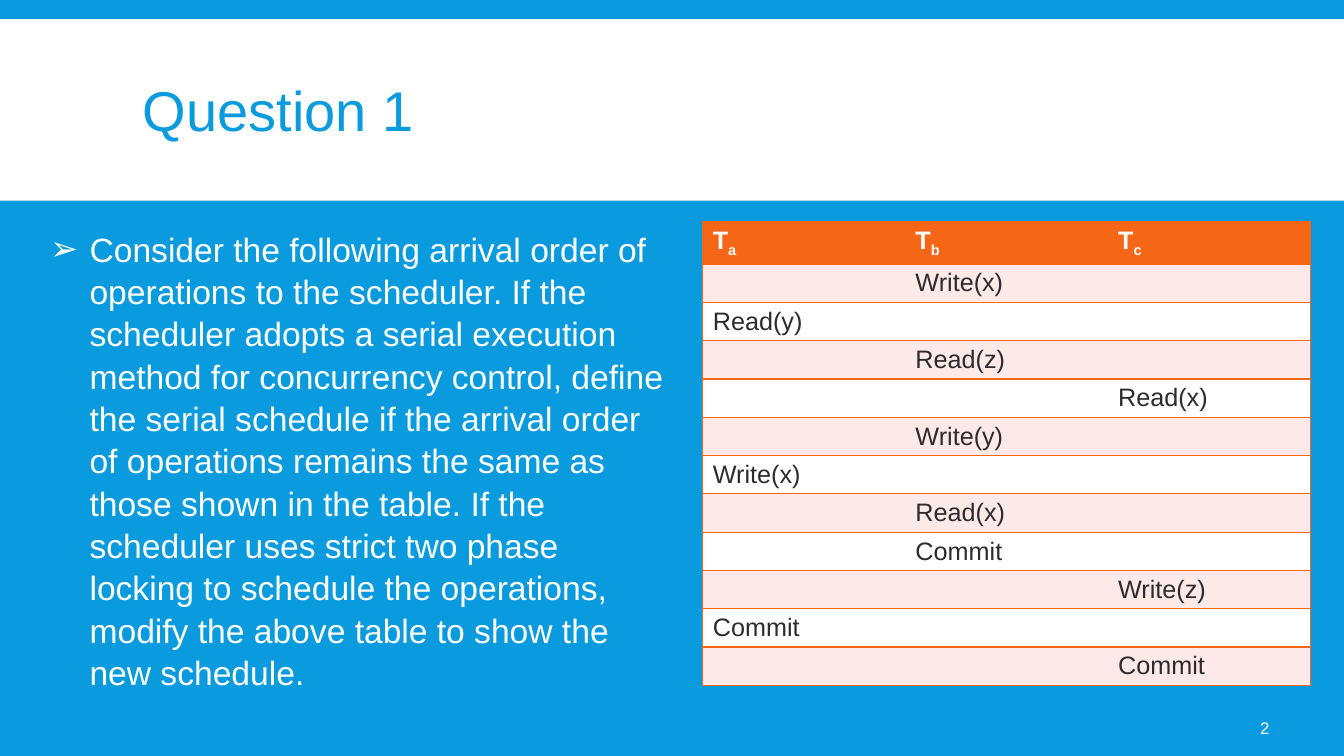
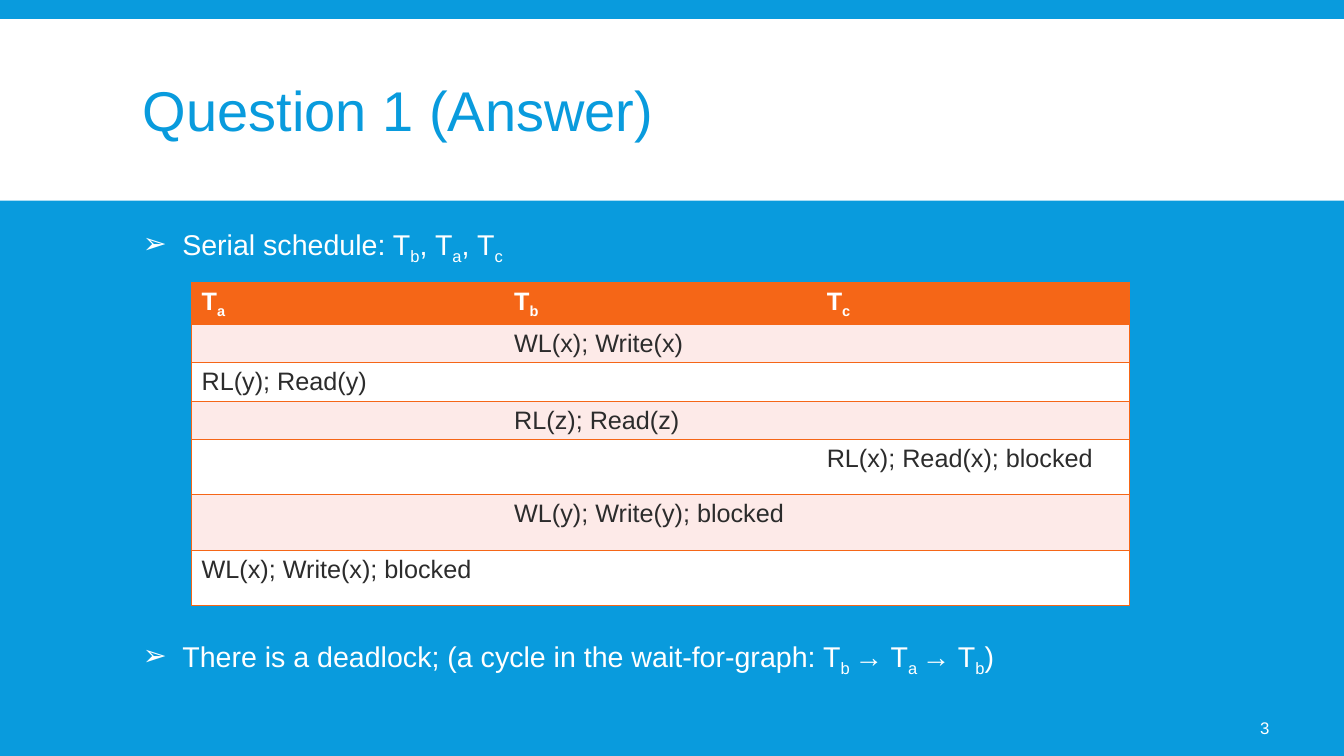
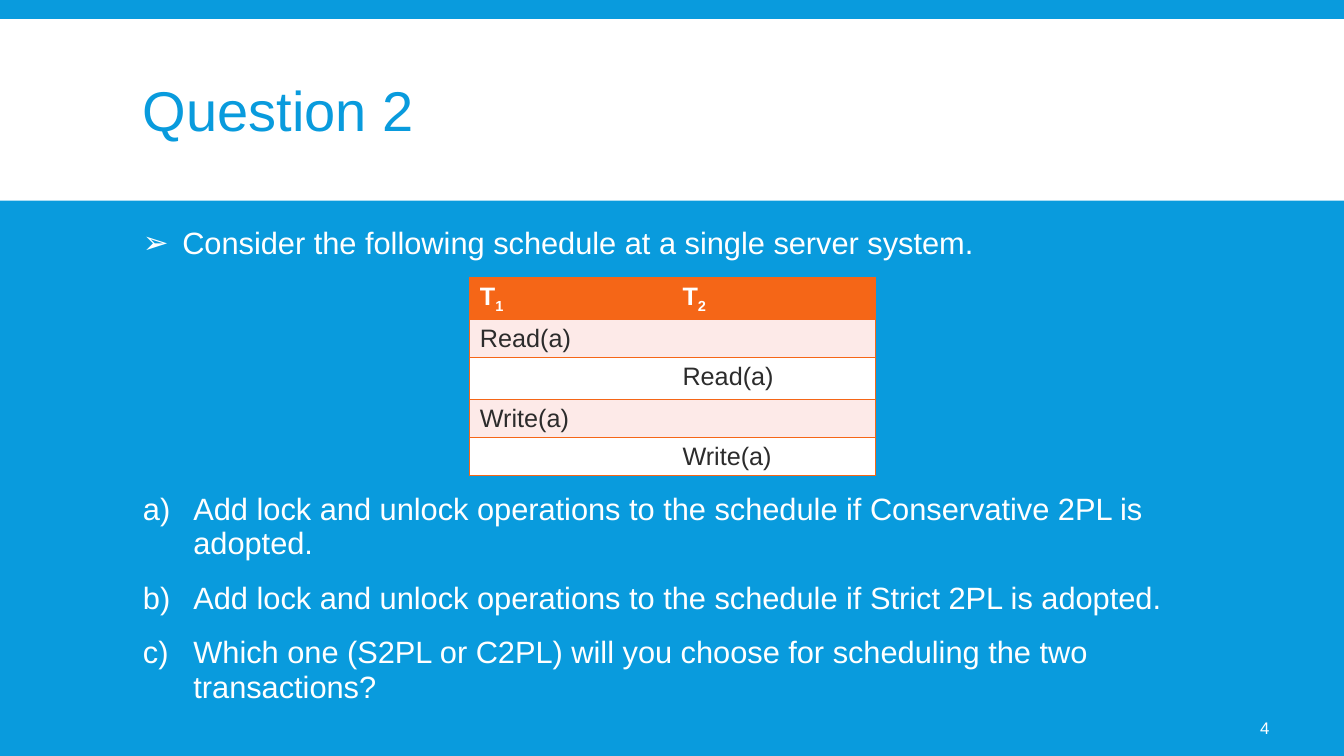
from pptx import Presentation
from pptx.dml.color import RGBColor
from pptx.enum.shapes import MSO_SHAPE
from pptx.enum.text import MSO_ANCHOR, PP_ALIGN
from pptx.oxml.ns import qn
from pptx.util import Pt
from lxml.etree import SubElement

PX = 9144
FONT = "Arial"
BLUE, WHITE, ORANGE, PINK, INK = "099BDD", "FFFFFF", "F56617", "FDEAE8", "2C2C2C"
ARROW, ALPHA = ("buChar", "char", "➢", 39), ("buAutoNum", "type", "alphaLcParenR", 50)
HEAD, ROW, TALL = 42, 38, 55

SLIDES = [
    {
        "title": "Question 1",
        "body": {
            "box": (40, 220, 633, 460), "size": 24, "line": 1.05,
            "items": [
                (ARROW, 0, "Consider the following arrival order of operations to the scheduler. If the scheduler adopts a serial execution method for concurrency control, define the serial schedule if the arrival order of operations remains the same as those shown in the table. If the scheduler uses strict two phase locking to schedule the operations, modify the above table to show the new schedule."),
            ],
        },
        "table": {
            "at": (697, 220), "col": 201, "heads": "abc",
            "steps": [
                (1, "Write(x)", ROW), (0, "Read(y)", ROW), (1, "Read(z)", ROW),
                (2, "Read(x)", ROW), (1, "Write(y)", ROW), (0, "Write(x)", ROW),
                (1, "Read(x)", ROW), (1, "Commit", ROW), (2, "Write(z)", ROW),
                (0, "Commit", ROW), (2, "Commit", ROW),
            ],
        },
    },
    {
        "title": "Question 1 (Answer)",
        "body": {
            "box": (132, 220, 1070, 460), "size": 20.4, "line": 0.94,
            "items": [
                (ARROW, 0, "Serial schedule: T~b~, T~a~, T~c~"),
                (ARROW, 266, "There is a deadlock; (a cycle in the wait-for-graph: T~b ~→ T~a ~→ T~b~)"),
            ],
        },
        "table": {
            "at": (190, 280), "col": 310, "heads": "abc",
            "steps": [
                (1, "WL(x); Write(x)", ROW), (0, "RL(y); Read(y)", ROW),
                (1, "RL(z); Read(z)", ROW), (2, "RL(x); Read(x); blocked", TALL),
                (1, "WL(y); Write(y); blocked", TALL),
                (0, "WL(x); Write(x); blocked", TALL),
            ],
        },
    },
    {
        "title": "Question 2",
        "body": {
            "box": (132, 220, 1070, 508), "size": 22, "line": 0.94,
            "items": [
                (ARROW, 0, "Consider the following schedule at a single server system."),
                (ALPHA, 163, "Add lock and unlock operations to the schedule if Conservative 2PL is adopted."),
                (ALPHA, 12, "Add lock and unlock operations to the schedule if Strict 2PL is adopted."),
                (ALPHA, 12, "Which one (S2PL or C2PL) will you choose for scheduling the two transactions?"),
            ],
        },
        "table": {
            "at": (466, 275), "col": 201, "heads": "12",
            "steps": [
                (0, "Read(a)", ROW), (1, "Read(a)", 41),
                (0, "Write(a)", ROW), (1, "Write(a)", ROW),
            ],
        },
    },
]


def px(*nums):
    return [n * PX for n in nums]


def tint(code):
    return RGBColor.from_string(code)


def write(para, text, size, color, bold=False):
    for i, part in enumerate(text.split("~")):
        if not part:
            continue
        run = para.add_run()
        run.text = part
        font = run.font
        font.name, font.size, font.bold = FONT, Pt(size), bold
        font.color.rgb = tint(color)
        if i % 2:
            run._r.get_or_add_rPr().set("baseline", "-25000")


def frame(slide, box, anchor=MSO_ANCHOR.TOP):
    area = slide.shapes.add_textbox(*px(*box)).text_frame
    area.word_wrap = True
    area.vertical_anchor = anchor
    return area


def bullet(para, mark):
    tag, key, value, gap = mark
    props = para._p.get_or_add_pPr()
    props.set("marL", str(gap * PX))
    props.set("indent", str(-gap * PX))
    color = SubElement(props, qn("a:buClr"))
    SubElement(color, qn("a:srgbClr"), val=WHITE)
    SubElement(props, qn("a:buFont"), typeface=FONT)
    SubElement(props, qn("a:" + tag), {key: value})


def base(slide, title, num):
    band = slide.shapes.add_shape(MSO_SHAPE.RECTANGLE, *px(0, 19, 1333, 180))
    band.shadow.inherit = False
    band.fill.solid()
    band.fill.fore_color.rgb = tint(WHITE)
    band.line.fill.background()
    para = frame(slide, (132, 31, 1070, 165), MSO_ANCHOR.MIDDLE).paragraphs[0]
    para.line_spacing = 0.85
    write(para, title, 40, BLUE)
    para = frame(slide, (1166, 702, 103, 40), MSO_ANCHOR.MIDDLE).paragraphs[0]
    para.alignment = PP_ALIGN.RIGHT
    write(para, str(num), 12, WHITE)


def body(slide, box, size, line, items):
    area = frame(slide, box)
    for i, (mark, gap, text) in enumerate(items):
        para = area.add_paragraph() if i else area.paragraphs[0]
        bullet(para, mark)
        para.line_spacing = line
        para.space_before, para.space_after = Pt(gap), Pt(2)
        write(para, text, size, WHITE)


def style(cell, fill, sides):
    cell.margin_left, cell.margin_top, cell.margin_right, cell.margin_bottom = px(10, 5, 10, 0)
    props = cell._tc.get_or_add_tcPr()
    for side in "LRTB":
        edge = SubElement(props, qn("a:ln" + side), w=str(Pt(1)))
        if side in sides:
            paint = SubElement(edge, qn("a:solidFill"))
            SubElement(paint, qn("a:srgbClr"), val=ORANGE)
        else:
            SubElement(edge, qn("a:noFill"))
    cell.fill.solid()
    cell.fill.fore_color.rgb = tint(fill)


def grid(slide, at, col, heads, steps):
    highs = [HEAD] + [high for _, _, high in steps]
    wide = len(heads)
    size = px(*at, col * wide, sum(highs))
    table = slide.shapes.add_table(len(highs), wide, *size).table
    for part in table.columns:
        part.width = col * PX
    for r, high in enumerate(highs):
        table.rows[r].height = high * PX
        fill = (PINK if r % 2 else WHITE) if r else ORANGE
        for c in range(wide):
            sides = "TB" + "L" * (c == 0) + "R" * (c == wide - 1)
            style(table.cell(r, c), fill, sides)
    for c, name in enumerate(heads):
        write(table.cell(0, c).text_frame.paragraphs[0], f"T~{name}~", 18, WHITE, True)
    for r, (c, text, _) in enumerate(steps, 1):
        write(table.cell(r, c).text_frame.paragraphs[0], text, 18, INK)


def main():
    deck = Presentation()
    deck.slide_width, deck.slide_height = px(1333, 750)
    back = deck.slide_master.background.fill
    back.solid()
    back.fore_color.rgb = tint(BLUE)
    for num, page in enumerate(SLIDES, 2):
        slide = deck.slides.add_slide(deck.slide_layouts[6])
        base(slide, page["title"], num)
        body(slide, **page["body"])
        grid(slide, **page["table"])
    deck.save("out.pptx")


if __name__ == "__main__":
    main()
